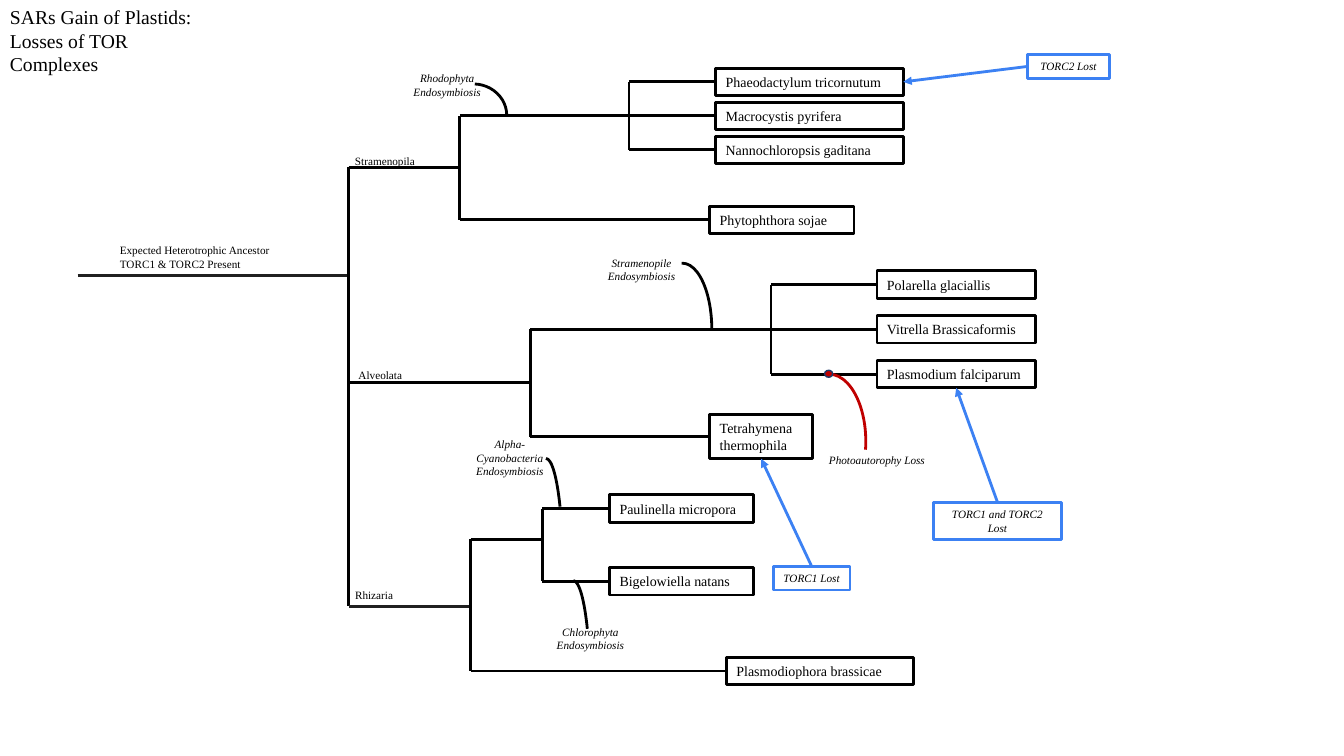
from dataclasses import dataclass

from lxml import etree
from pptx import Presentation
from pptx.dml.color import RGBColor
from pptx.enum.shapes import MSO_CONNECTOR, MSO_SHAPE
from pptx.enum.text import MSO_ANCHOR, PP_ALIGN
from pptx.oxml.ns import qn
from pptx.shapes.autoshape import Shape
from pptx.shapes.connector import Connector
from pptx.util import Pt

STRAIGHT = MSO_CONNECTOR.STRAIGHT
RECTANGLE, ARC, OVAL = MSO_SHAPE.RECTANGLE, MSO_SHAPE.ARC, MSO_SHAPE.OVAL
LEFT, CENTER = PP_ALIGN.LEFT, PP_ALIGN.CENTER
TOP, MIDDLE = MSO_ANCHOR.TOP, MSO_ANCHOR.MIDDLE
SIDE_TOP, SIDE_LEFT, SIDE_BOTTOM, SIDE_RIGHT = range(4)

FONT = "Times New Roman"
BLACK, CHARCOAL, BLUE, RED, NAVY = "000000", "202020", "3C81F3", "C00000", "1D3A6B"
LINE_WIDTH = 2


@dataclass
class Taxon:
    name: str
    left: float
    middle: float
    width: float
    height: float = 19.5


@dataclass
class Fork:
    """A node at (x, y) with branches that run right to the (x, y) tips."""
    x: float
    y: float
    tips: list[tuple[float, float]]
    color: str = BLACK


@dataclass
class Label:
    lines: list[str]
    left: float
    top: float
    width: float
    height: float
    size: float = 8
    event: bool = False


@dataclass
class Curve:
    left: float
    top: float
    width: float
    height: float
    start: float = 162
    end: float = 0
    color: str = BLACK


@dataclass
class Loss:
    text: str
    left: float
    top: float
    width: float
    height: float
    side: int
    taxon: str
    taxon_side: int


TAXA = [
    *(Taxon(name, 511.25, 58.5 + 24.25 * row, 134)
      for row, name in enumerate(["Phaeodactylum tricornutum", "Macrocystis pyrifera",
                                  "Nannochloropsis gaditana"])),
    Taxon("Phytophthora sojae", 507, 157, 103),
    *(Taxon(name, 626.5, 203.25 + 32 * row, 113)
      for row, name in enumerate(["Polarella glaciallis", "Vitrella Brassicaformis",
                                  "Plasmodium falciparum"])),
    Taxon("Tetrahymena thermophila", 507, 312, 73.5, 31.5),
    Taxon("Paulinella micropora", 435.5, 363.25, 102.5),
    Taxon("Bigelowiella natans", 435.5, 415.25, 102.5),
    Taxon("Plasmodiophora brassicae", 519, 479.25, 133.5),
]

FORKS = [
    Fork(249, 196.5, [(328.5, 119.5), (378.75, 273.5)]),
    Fork(249, 273.5, [(336.25, 433)], CHARCOAL),
    Fork(328.5, 119.5, [(449.25, 82.75), (507, 157)]),
    Fork(449.25, 82.75, [(511.25, 58.5 + 24.25 * row) for row in range(3)]),
    Fork(378.75, 273.5, [(550.75, 235.25), (507, 312)]),
    Fork(550.75, 235.25, [(626.5, 203.25 + 32 * row) for row in range(3)]),
    Fork(336.25, 433, [(387.5, 385.25), (519, 479.25)]),
    Fork(387.5, 385.25, [(435.5, 363.25), (435.5, 415.25)]),
]

CURVES = [
    Curve(314, 60, 48, 45, start=163.8),
    Curve(466.5, 188, 42, 95, start=161.63),
    Curve(566, 267.25, 52.5, 96, end=7.76, color=RED),
    Curve(397.5, 414.75, 24, 152.5, end=170.1),
    Curve(378, 327.5, 24, 152.5, end=170.1),
]

LABELS = [
    Label(["SARs Gain of Plastids:", "Losses of TOR Complexes"], 0, 0, 162, 101.5, size=14),
    Label(["Expected Heterotrophic Ancestor", "TORC1 & TORC2 Present"], 78.5, 170.5, 172, 26.5),
    Label(["Stramenopila"], 246.5, 106.5, 103, 17),
    Label(["Alveolata"], 249, 259.5, 103, 17),
    Label(["Rhizaria"], 246.5, 417, 78.5, 17),
    Label(["Rhodophyta Endosymbiosis"], 278, 47.5, 83, 26.5, event=True),
    Label(["Stramenopile Endosymbiosis"], 424, 179.5, 68.5, 26.5, event=True),
    Label(["Photoautorophy Loss"], 570, 320, 113, 17, event=True),
    Label(["Chlorophyta Endosymbiosis"], 382.5, 443, 78.5, 26.5, event=True),
    Label(["Alpha-Cyanobacteria Endosymbiosis"], 325, 309, 78.5, 36, event=True),
]

LOSSES = [
    Loss("TORC1 and TORC2 Lost", 666.75, 358.75, 91.5, 26.5,
         SIDE_TOP, "Plasmodium falciparum", SIDE_BOTTOM),
    Loss("TORC1 Lost", 552.25, 404.5, 55, 17,
         SIDE_TOP, "Tetrahymena thermophila", SIDE_BOTTOM),
    Loss("TORC2 Lost", 733.75, 39, 59, 17,
         SIDE_LEFT, "Phaeodactylum tricornutum", SIDE_RIGHT),
]


def rgb(value: str) -> RGBColor:
    return RGBColor.from_string(value)


def draw_line(page, start: tuple[float, float], end: tuple[float, float],
              color: str = BLACK) -> Connector:
    line = page.shapes.add_connector(STRAIGHT, *(Pt(value) for value in (*start, *end)))
    line.line.color.rgb = rgb(color)
    line.line.width = Pt(LINE_WIDTH)
    etree.SubElement(line._element.spPr, qn("a:effectLst"))
    return line


def draw_outline(page, kind, left: float, top: float, width: float, height: float,
                 color: str, weight: float = LINE_WIDTH) -> Shape:
    shape = page.shapes.add_shape(kind, Pt(left), Pt(top), Pt(width), Pt(height))
    shape.shadow.inherit = False
    shape.fill.background()
    shape.line.color.rgb = rgb(color)
    shape.line.width = Pt(weight)
    return shape


def write(box: Shape, lines: list[str], size: float, align=LEFT, anchor=MIDDLE,
          italic: bool = False) -> None:
    frame = box.text_frame
    frame.word_wrap = True
    frame.vertical_anchor = anchor
    for number, text in enumerate(lines):
        para = frame.add_paragraph() if number else frame.paragraphs[0]
        para.alignment = align
        span = para.add_run()
        span.text = text
        span.font.name = FONT
        span.font.size = Pt(size)
        span.font.italic = italic
        span.font.color.rgb = rgb(BLACK)


def draw_taxon(page, taxon: Taxon) -> Shape:
    box = draw_outline(page, RECTANGLE, taxon.left, taxon.middle - taxon.height / 2,
                       taxon.width, taxon.height, BLACK)
    write(box, [taxon.name], 10)
    return box


def draw_fork(page, fork: Fork, leaves: dict[tuple[float, float], Shape]) -> None:
    for x, y in fork.tips:
        if y != fork.y:
            draw_line(page, (fork.x, fork.y), (fork.x, y))
        branch = draw_line(page, (fork.x, y), (x, y), fork.color)
        if (x, y) in leaves:
            branch.end_connect(leaves[x, y], SIDE_LEFT)


def draw_curve(page, curve: Curve) -> None:
    arc = draw_outline(page, ARC, curve.left, curve.top, curve.width, curve.height, curve.color)
    arc.adjustments[0] = curve.start
    arc.adjustments[1] = curve.end


def draw_label(page, label: Label) -> None:
    box = page.shapes.add_textbox(Pt(label.left), Pt(label.top), Pt(label.width), Pt(label.height))
    write(box, label.lines, label.size, CENTER if label.event else LEFT, TOP, label.event)


def draw_loss(page, loss: Loss, target: Shape) -> None:
    box = draw_outline(page, RECTANGLE, loss.left, loss.top, loss.width, loss.height, BLUE)
    write(box, [loss.text], 8, CENTER, italic=True)
    arrow = draw_line(page, (0, 0), (1, 1), BLUE)
    arrow.begin_connect(box, loss.side)
    arrow.end_connect(target, loss.taxon_side)
    etree.SubElement(arrow._element.spPr.find(qn("a:ln")), qn("a:tailEnd"), type="triangle")


def main() -> None:
    deck = Presentation()
    deck.slide_width, deck.slide_height = Pt(960), Pt(540)
    page = deck.slides.add_slide(deck.slide_layouts[6])
    boxes = {taxon.name: draw_taxon(page, taxon) for taxon in TAXA}
    leaves = {(taxon.left, taxon.middle): boxes[taxon.name] for taxon in TAXA}
    draw_line(page, (55.5, 196.5), (249, 196.5), CHARCOAL)
    for fork in FORKS:
        draw_fork(page, fork, leaves)
    for curve in CURVES:
        draw_curve(page, curve)
    loss_point = draw_outline(page, OVAL, 589, 264.5, 5.75, 5, NAVY, 1)
    loss_point.fill.solid()
    loss_point.fill.fore_color.rgb = rgb(RED)
    for label in LABELS:
        draw_label(page, label)
    for loss in LOSSES:
        draw_loss(page, loss, boxes[loss.taxon])
    deck.save("out.pptx")


if __name__ == "__main__":
    main()
